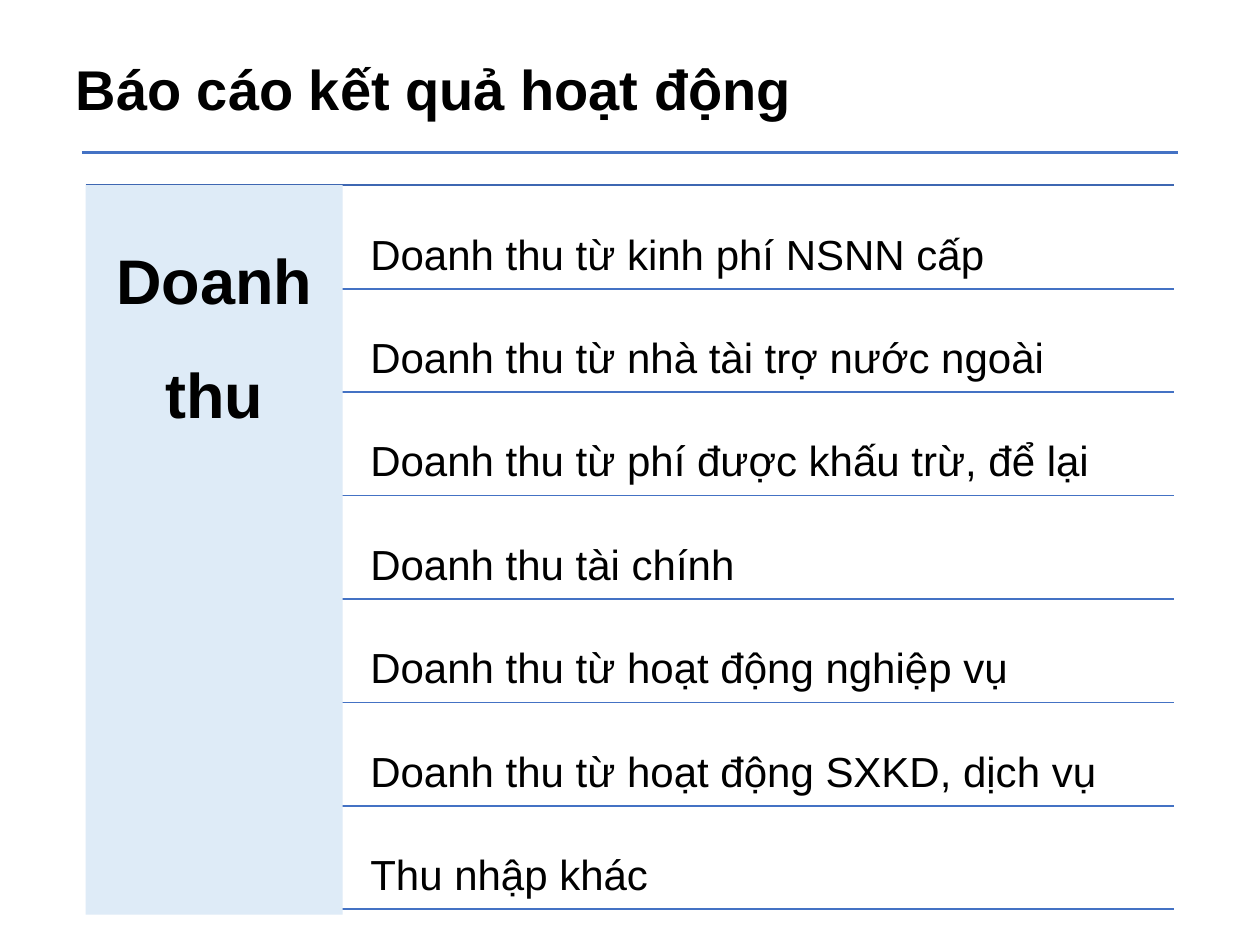
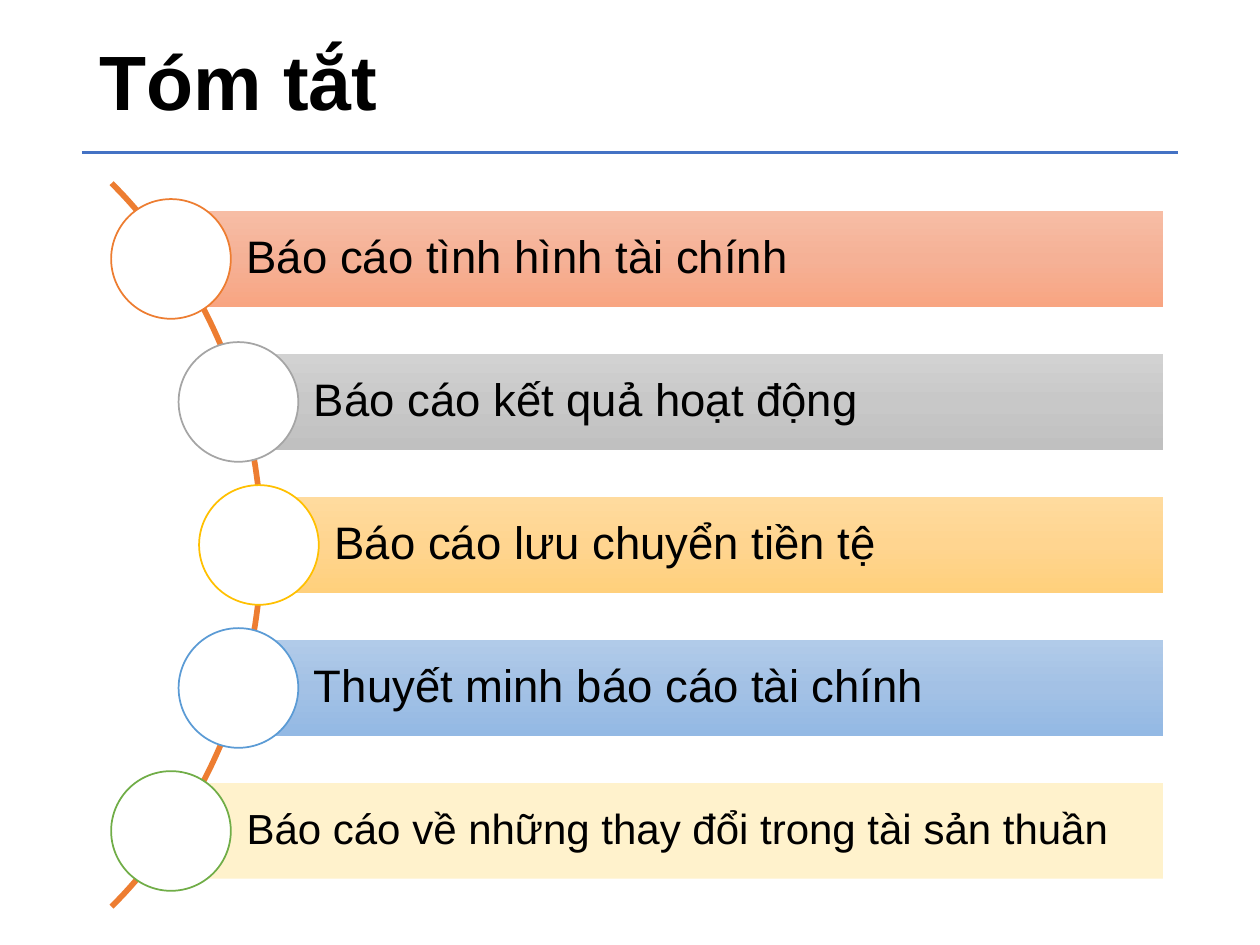
"""Build two slides on financial reporting: revenue items and a summary of reports."""
import copy
import math

import pptx
import pptx.dml.color
import pptx.enum.shapes
import pptx.enum.text
import pptx.oxml.ns
import pptx.util

FONT = "Arial"
COLOURS = {"black": "000000", "white": "FFFFFF", "rule": "4472C4", "top rule": "3E67B2",
           "panel": "DEEBF7", "arc": "ED7D31"}
COLOURS = {name: pptx.dml.color.RGBColor.from_string(value) for name, value in COLOURS.items()}
SHAPES = pptx.enum.shapes.MSO_SHAPE
ANCHORS = pptx.enum.text.MSO_ANCHOR
ALIGNMENTS = pptx.enum.text.PP_ALIGN

presentation = pptx.Presentation()
presentation.slide_width = pptx.util.Inches(10)
presentation.slide_height = pptx.util.Inches(7.5)
cell = presentation.slide_width / 100


def grid(*counts):
    """Turn counts of grid cells (hundredths of the slide width) into lengths."""
    return [pptx.util.Emu(round(count * cell)) for count in counts]


def write(shape, text, size, spacing, insets, anchor=ANCHORS.TOP, bold=False, align=ALIGNMENTS.LEFT):
    """Put one formatted paragraph into a shape."""
    frame = shape.text_frame
    frame.word_wrap = True
    frame.auto_size = pptx.enum.text.MSO_AUTO_SIZE.NONE
    frame.vertical_anchor = anchor
    frame.margin_left, frame.margin_top, frame.margin_right, frame.margin_bottom = grid(*insets)
    paragraph = frame.paragraphs[0]
    paragraph.text = text
    paragraph.alignment = align
    paragraph.line_spacing = spacing
    paragraph.font.name = FONT
    paragraph.font.size = pptx.util.Pt(size)
    paragraph.font.bold = bold
    paragraph.font.color.rgb = COLOURS["black"]


titles = [
    ("Báo cáo kết quả hoạt động", 32, 1, ANCHORS.TOP, (5, 3.8, 62.3, 6.4)),
    ("Tóm tắt", 44, 0.9, ANCHORS.MIDDLE, (6.9, 1.5, 86.2, 10.6)),
]
for text, size, spacing, anchor, place in titles:
    slide = presentation.slides.add_slide(presentation.slide_layouts[5])
    title = slide.shapes.title
    title.left, title.top, title.width, title.height = grid(*place)
    write(title, text, size, spacing, (1, 0.5, 1, 0.5), anchor, bold=True)
revenue_slide, summary_slide = presentation.slides

revenues = [
    "Doanh thu từ kinh phí NSNN cấp",
    "Doanh thu từ nhà tài trợ nước ngoài",
    "Doanh thu từ phí được khấu trừ, để lại",
    "Doanh thu tài chính",
    "Doanh thu từ hoạt động nghiệp vụ",
    "Doanh thu từ hoạt động SXKD, dịch vụ",
    "Thu nhập khác",
]
list_top, row_height, list_right = 14.7, 8.21, 93.2

rules = [(6.5, 93.5, 12.1, "rule", 1.5), (6.8, list_right, list_top, "top rule", 1)]
rules += [(27.1, list_right, list_top + row_height * (row + 1), "rule", 1)
          for row in range(len(revenues))]
connectors = []
for left, right, height, colour, weight in rules:
    connector = revenue_slide.shapes.add_connector(
        pptx.enum.shapes.MSO_CONNECTOR.STRAIGHT, *grid(left, height, right, height))
    connector.line.color.rgb = COLOURS[colour]
    connector.line.width = pptx.util.Pt(weight)
    connector.element.spPr.append(pptx.oxml.parse_xml(
        f"<a:effectLst {pptx.oxml.ns.nsdecls('a')}/>"))
    connectors.append(connector)
presentation.slide_master.shapes.element.append(connectors[0].element)

panel = revenue_slide.shapes.add_shape(SHAPES.RECTANGLE, *grid(6.8, list_top, 20.4, 57.9))
panel.shadow.inherit = False
panel.fill.solid()
panel.fill.fore_color.rgb = COLOURS["panel"]
panel.line.fill.background()
write(panel, "Doanh thu", 36, 1.5, [1.5] * 4, bold=True, align=ALIGNMENTS.CENTER)

for row, revenue in enumerate(revenues):
    label = revenue_slide.shapes.add_textbox(
        *grid(28.4, list_top + 0.4 + row_height * row, 64.8, 7.8))
    write(label, revenue, 24, 1.5, [1] * 4)

centre_x, centre_y, arc_radius, bead_radius = -19.85, 43.25, 40.6, 40.4
arc_points = [grid(centre_x + arc_radius * math.cos(math.radians(angle)),
                   centre_y + arc_radius * math.sin(math.radians(angle)))
              for angle in range(-45, 46)]
builder = summary_slide.shapes.build_freeform(*arc_points[0])
builder.add_line_segments(arc_points[1:], close=False)
arc = builder.convert_to_shape()
arc.shadow.inherit = False
arc.fill.background()
arc.line.color.rgb = COLOURS["arc"]
arc.line.width = pptx.util.Pt(3.25)

reports = [
    ("Báo cáo tình hình tài chính", 26, "ED7D31", ["F7BDA5", "F5B196", "F8A582"]),
    ("Báo cáo kết quả hoạt động", 26, "A5A5A5", ["D2D2D2", "C8C8C8", "C0C0C0"]),
    ("Báo cáo lưu chuyển tiền tệ", 26, "FFC000", ["FFDB9E", "FFD590", "FFD07C"]),
    ("Thuyết minh báo cáo tài chính", 26, "5B9BD5", ["B1CBE9", "A3C1E5", "93B9E4"]),
    ("Báo cáo về những thay đổi trong tài sản thuần", 24, "70AD47", ["FFF2CC"]),
]
bar_pitch, bar_height, bar_right, bead_size = 11.35, 7.6, 92.3, 9.5
for row, (report, size, outline, shades) in enumerate(reports):
    offset = bar_pitch * (row - len(reports) // 2)
    bead_y = centre_y + offset
    bead_x = centre_x + math.sqrt(bead_radius ** 2 - offset ** 2)

    bar = summary_slide.shapes.add_shape(
        SHAPES.RECTANGLE, *grid(bead_x, bead_y - bar_height / 2, bar_right - bead_x, bar_height))
    bar.shadow.inherit = False
    bar.line.fill.background()
    shades = [pptx.dml.color.RGBColor.from_string(shade) for shade in shades]
    if len(shades) == 1:
        bar.fill.solid()
        bar.fill.fore_color.rgb = shades[0]
    else:
        bar.fill.gradient()
        bar.fill.gradient_angle = 270
        first_stop = next(bar.element.iter(pptx.oxml.ns.qn("a:gs")))
        first_stop.addnext(copy.deepcopy(first_stop))
        for stop, shade, position in zip(bar.fill.gradient_stops, shades, (0, 0.5, 1)):
            stop.color.rgb = shade
            stop.position = position
    write(bar, report, size, 0.9, (6, 0.7, 0.7, 0.7), ANCHORS.MIDDLE)

    bead = summary_slide.shapes.add_shape(
        SHAPES.OVAL, *grid(bead_x - bead_size / 2, bead_y - bead_size / 2, bead_size, bead_size))
    bead.shadow.inherit = False
    bead.fill.solid()
    bead.fill.fore_color.rgb = COLOURS["white"]
    bead.line.color.rgb = pptx.dml.color.RGBColor.from_string(outline)
    bead.line.width = pptx.util.Pt(1)

presentation.save("out.pptx")
